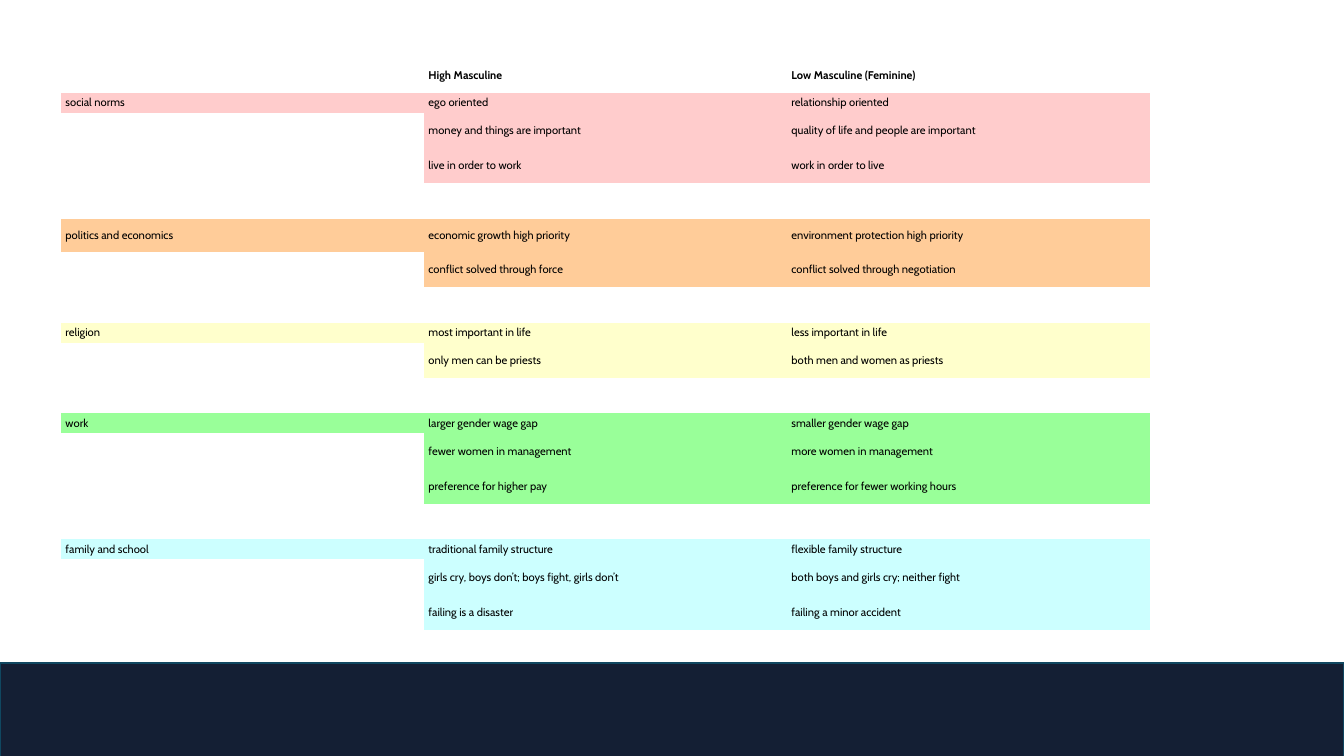
from lxml.etree import SubElement
from pptx import Presentation
from pptx.dml.color import RGBColor
from pptx.enum.shapes import MSO_SHAPE as SHAPE
from pptx.enum.text import MSO_ANCHOR as ANCHOR
from pptx.oxml.ns import qn
from pptx.util import Inches, Pt

BLACK = RGBColor(0x00, 0x00, 0x00)
NAVY = RGBColor(0x14, 0x1F, 0x34)
TEAL = RGBColor(0x10, 0x47, 0x60)
PINK = RGBColor(0xFF, 0xCC, 0xCC)
ORANGE = RGBColor(0xFF, 0xCC, 0x99)
YELLOW = RGBColor(0xFF, 0xFF, 0xCC)
GREEN = RGBColor(0x99, 0xFF, 0x99)
CYAN = RGBColor(0xCC, 0xFF, 0xFF)

NO_GRID_STYLE = "{2D5ABB26-0587-4C30-8999-92F81FD0307C}"
COLUMN_WIDTH = 3.6
ROW_HEIGHT = 0.35
HEADINGS = ("", "High Masculine", "Low Masculine (Feminine)")
TOPICS = [
    ("social norms", PINK, 0.2, [
        ("ego oriented", "relationship oriented"),
        ("money and things are important", "quality of life and people are important"),
        ("live in order to work", "work in order to live"),
    ]),
    ("politics and economics", ORANGE, 0.33, [
        ("economic growth high priority", "environment protection high priority"),
        ("conflict solved through force", "conflict solved through negotiation"),
    ]),
    ("religion", YELLOW, 0.2, [
        ("most important in life", "less important in life"),
        ("only men can be priests", "both men and women as priests"),
    ]),
    ("work", GREEN, 0.2, [
        ("larger gender wage gap", "smaller gender wage gap"),
        ("fewer women in management", "more women in management"),
        ("preference for higher pay", "preference for fewer working hours"),
    ]),
    ("family and school", CYAN, 0.2, [
        ("traditional family structure", "flexible family structure"),
        ("girls cry, boys don’t; boys fight, girls don’t",
         "both boys and girls cry; neither fight"),
        ("failing is a disaster", "failing a minor accident"),
    ]),
]


class SlideBuilder:
    """Draws styled elements on the current slide."""

    font = "Cabin"
    size = 8

    def __init__(self, slide):
        self.slide = slide

    def band(self, x, y, w, h, fill, line):
        sp = self.slide.shapes.add_shape(
            SHAPE.RECTANGLE, Inches(x), Inches(y), Inches(w), Inches(h))
        sp.shadow.inherit = False
        sp.fill.solid()
        sp.fill.fore_color.rgb = fill
        sp.line.color.rgb = line
        sp.line.width = Pt(1.5)

    def cell(self, cell, text, fill=None, bold=False):
        cell.vertical_anchor = ANCHOR.MIDDLE
        cell.margin_left = cell.margin_right = Inches(0.04)
        cell.margin_top = cell.margin_bottom = Inches(0.02)
        p = cell.text_frame.paragraphs[0]
        if not text:
            SubElement(p._p, qn("a:endParaRPr"), sz=str(self.size * 100))
            return
        r = p.add_run()
        r.text = text
        r.font.name = self.font
        r.font.size = Pt(self.size)
        r.font.bold = bold
        r.font.color.rgb = BLACK
        if fill is not None:
            cell.fill.solid()
            cell.fill.fore_color.rgb = fill

    def table(self, x, y, rows):
        columns = len(rows[0][0])
        height = sum(row[1] for row in rows)
        table = self.slide.shapes.add_table(
            len(rows), columns, Inches(x), Inches(y),
            Inches(columns * COLUMN_WIDTH), Inches(height)).table
        table.first_row = table.horz_banding = False
        table._tbl.tblPr.find(qn("a:tableStyleId")).text = NO_GRID_STYLE
        for column in table.columns:
            column.width = Inches(COLUMN_WIDTH)
        for i, (texts, row_height, fill, bold) in enumerate(rows):
            table.rows[i].height = Inches(row_height)
            for j, text in enumerate(texts):
                self.cell(table.cell(i, j), text, fill, bold)


def comparison_rows():
    rows = [(HEADINGS, ROW_HEIGHT, None, True)]
    for topic, fill, first_height, pairs in TOPICS:
        if len(rows) > 1:
            rows.append((("", "", ""), ROW_HEIGHT, None, False))
        for i, pair in enumerate(pairs):
            label, height = ("", ROW_HEIGHT) if i else (topic, first_height)
            rows.append(((label, *pair), height, fill, False))
    return rows


def main():
    prs = Presentation()
    prs.slide_width = Inches(13.33)
    prs.slide_height = Inches(7.5)
    s = SlideBuilder(prs.slides.add_slide(prs.slide_layouts[6]))
    s.band(0, 6.58, 13.33, 0.97, NAVY, TEAL)
    s.table(0.61, 0.57, comparison_rows())
    prs.save("out.pptx")


if __name__ == "__main__":
    main()
